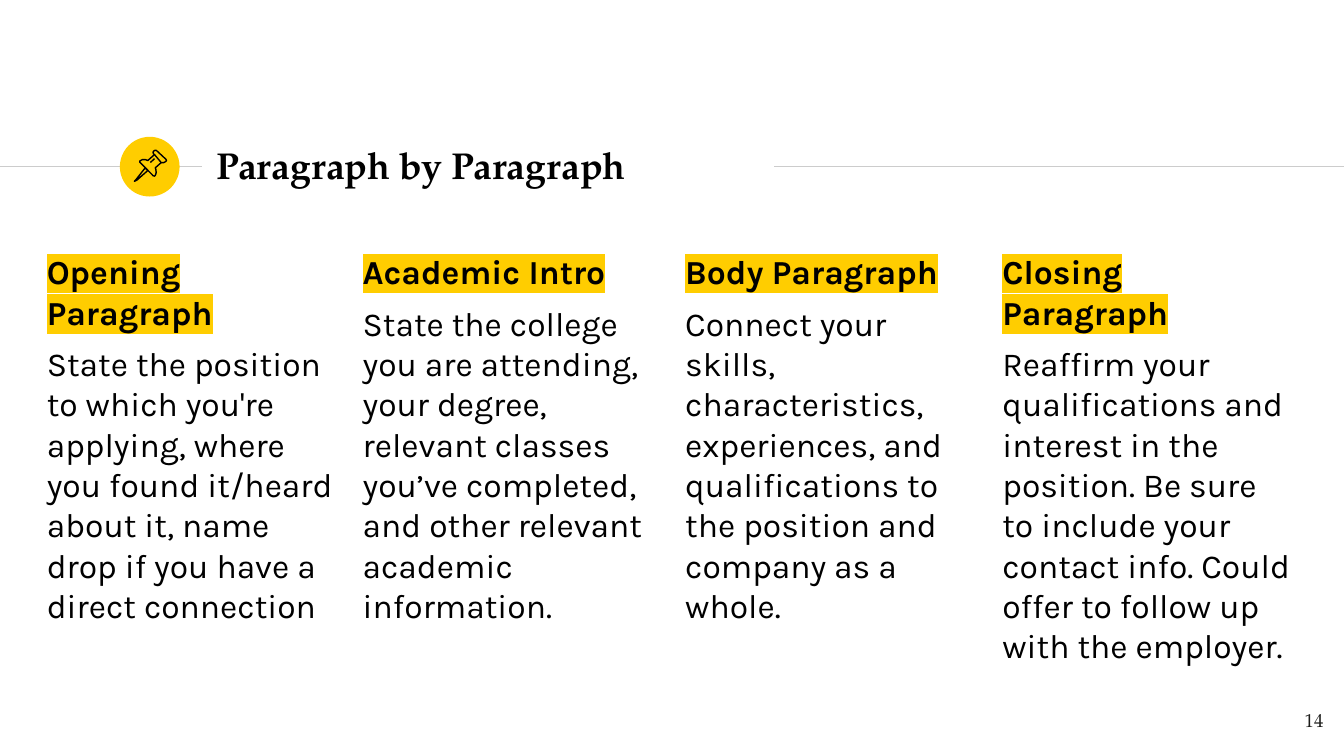
from lxml.etree import SubElement
from pptx import Presentation
from pptx.dml.color import RGBColor
from pptx.enum.shapes import MSO_CONNECTOR as Connector, MSO_SHAPE as Shape
from pptx.enum.text import MSO_ANCHOR as Anchor, PP_ALIGN as Align
from pptx.oxml import parse_xml
from pptx.oxml.ns import nsdecls, qn
from pptx.util import Pt

COLORS = {"yellow": "FFCD00", "rule": "CCCCCC", "text": "000000", "number": "1D1D1B"}
SERIF, SANS = "TeX Gyre Pagella", "Karla"
RULE_Y = 89.3

COLUMNS = [
    (18, "Opening Paragraph",
     "State the position to which you're applying, where you found it/heard "
     "about it, name drop if you have a direct connection"),
    (187.2, "Academic Intro",
     "State the college you are attending, your degree, relevant classes "
     "you’ve completed, and other relevant academic information."),
    (360, "Body Paragraph",
     "Connect your skills, characteristics, experiences, and qualifications "
     "to the position and company as a whole."),
    (529.9, "Closing Paragraph",
     "Reaffirm your qualifications and interest in the position. Be sure to "
     "include your contact info. Could offer to follow up with the employer."),
]

# Pushpin outlines: points and whether the outline is closed
PIN = [
    # Needle
    ([(77.8, 90), (72.7, 96.5), (72, 97.2), (73.4, 96.5), (79.2, 91.4)], True),
    # Cap
    ([(82.8, 82.8), (86.4, 87.1), (87.8, 87.1), (88.7, 86.6), (89.2, 86),
      (89, 85.4), (83.8, 80.6), (83.2, 80.5), (82.5, 80.8), (82, 81.5),
      (82.2, 82.4)], True),
    # Body
    ([(82.8, 82.8), (79.2, 86), (77.8, 85.5), (76.3, 85.5), (75, 86.2),
      (74.8, 86.8), (82.1, 94.2), (82.8, 94.4), (83.3, 93.8), (83.7, 92.5),
      (83.5, 90.7), (83.2, 89.9), (86.4, 87.1)], False),
    # Glint
    ([(80.6, 87.1), (82.8, 85)], False),
]


def color(name):
    return RGBColor.from_string(COLORS[name])


def add_rule(slide, left, right):
    line = slide.shapes.add_connector(
        Connector.STRAIGHT, Pt(left), Pt(RULE_Y), Pt(right), Pt(RULE_Y))
    line.line.color.rgb = color("rule")
    line.line.width = Pt(0.75)
    SubElement(line._element.spPr, qn("a:effectLst"))


def add_disc(slide, left, top, size):
    disc = slide.shapes.add_shape(Shape.OVAL, Pt(left), Pt(top), Pt(size), Pt(size))
    disc.shadow.inherit = False
    disc.fill.solid()
    disc.fill.fore_color.rgb = color("yellow")
    disc.line.fill.background()


def add_outline(slide, points, closed):
    start, *rest = [(Pt(x), Pt(y)) for x, y in points]
    builder = slide.shapes.build_freeform(*start)
    builder.add_line_segments(rest, close=closed)
    outline = builder.convert_to_shape()
    outline.shadow.inherit = False
    outline.fill.background()
    outline.line.color.rgb = color("text")
    outline.line.width = Pt(0.75)


def add_box(slide, left, top, width, height, anchor=Anchor.TOP):
    box = slide.shapes.add_textbox(Pt(left), Pt(top), Pt(width), Pt(height))
    frame = box.text_frame
    frame.word_wrap = True
    frame.vertical_anchor = anchor
    frame.margin_left = frame.margin_right = Pt(7.2)
    frame.margin_top = frame.margin_bottom = Pt(7.2)
    return frame


def write(paragraph, text, *, font, size, fill="text", bold=False,
          highlight=None, align=Align.LEFT, before=0):
    paragraph.alignment = align
    paragraph.space_before = Pt(before)
    run = paragraph.add_run()
    run.text = text
    run.font.size = Pt(size)
    run.font.bold = bold
    run.font.color.rgb = color(fill)
    if highlight:
        mark = parse_xml(f'<a:highlight {nsdecls("a")}>'
                         f'<a:srgbClr val="{COLORS[highlight]}"/></a:highlight>')
        run.font._element.find(qn("a:solidFill")).addnext(mark)
    run.font.name = font


def add_column(slide, left, heading, body):
    frame = add_box(slide, left, 127.4, 170, 245.5)
    write(frame.paragraphs[0], heading, font=SANS, size=18, bold=True,
          highlight="yellow")
    write(frame.add_paragraph(), body, font=SANS, size=18, before=6)


def main():
    presentation = Presentation()
    presentation.slide_width, presentation.slide_height = Pt(720), Pt(405)
    slide = presentation.slides.add_slide(presentation.slide_layouts[6])

    # Title band with pushpin
    add_rule(slide, 0, 108)
    add_disc(slide, 64.2, 73.3, 32)
    add_rule(slide, 414.7, 720)
    title = add_box(slide, 108.9, 70.9, 305, 34.6, Anchor.MIDDLE)
    write(title.paragraphs[0], "Paragraph by Paragraph", font=SERIF, size=20, bold=True)
    for points, closed in PIN:
        add_outline(slide, points, closed)

    # Four columns
    for left, heading, body in COLUMNS:
        add_column(slide, left, heading, body)

    # Slide number
    number = add_box(slide, 672.8, 373.7, 43.2, 31)
    write(number.paragraphs[0], "14", font=SERIF, size=10, fill="number",
          align=Align.RIGHT)

    presentation.save("out.pptx")


if __name__ == "__main__":
    main()
